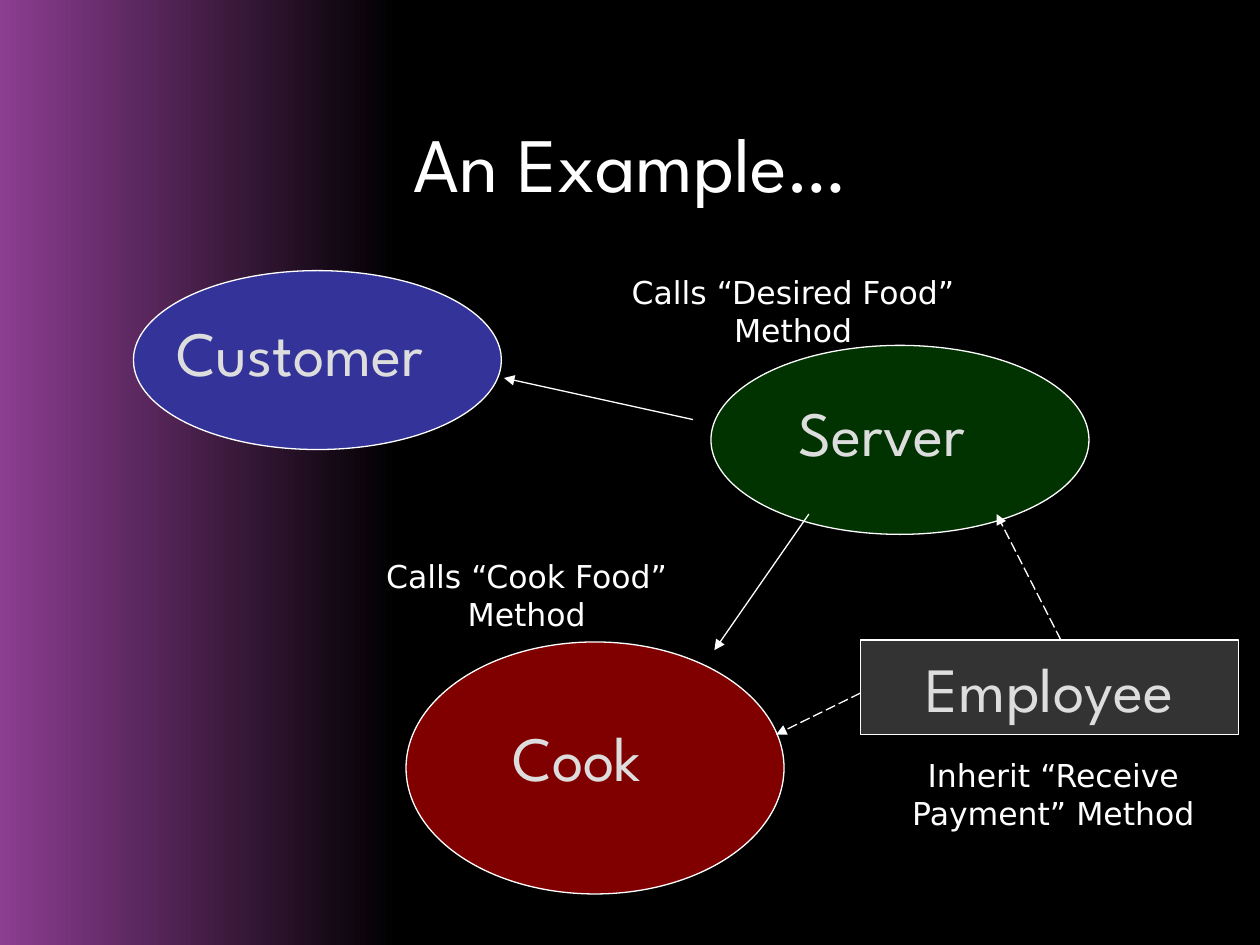
from dataclasses import dataclass

from pptx import Presentation
from pptx import util as u
from pptx.dml.color import RGBColor as Rgb
from pptx.enum import dml, shapes, text
from pptx.oxml import parse_xml
from pptx.oxml.ns import nsdecls


@dataclass(frozen=True)
class Theme:
    back: str = "000000"
    glow: str = "8C3D91"
    ink: str = "FFFFFF"
    label: str = "DDDDDD"
    blue: str = "333399"
    green: str = "003300"
    red: str = "800000"
    gray: str = "333333"
    head: str = "League Spartan"
    body: str = "DejaVu Sans"
    title: int = 44
    name: int = 36
    note: int = 18
    line: float = 0.75


T = Theme()
SHIFT = 1 / 21  # ovals sit this share of their size right of and below the label


def color(code):
    return Rgb.from_string(code)


def inch(*sizes):
    return [u.Inches(size) for size in sizes]


def write(frame, words, size, font, ink, pad=0):
    """Set centred, formatted text in a frame."""
    frame.text = words
    frame.margin_left = frame.margin_right = u.Inches(pad)
    frame.margin_top = frame.margin_bottom = u.Inches(pad)
    for para in frame.paragraphs:
        para.alignment = text.PP_ALIGN.CENTER
        for run in para.runs:
            run.font.size = u.Pt(size)
            run.font.name = font
            run.font.color.rgb = color(ink)


def panel(slide, box):
    """Gradient band behind everything else."""
    band = slide.shapes.add_shape(shapes.MSO_SHAPE.RECTANGLE, *inch(*box))
    band.shadow.inherit = False
    band.line.fill.background()
    band.fill.gradient()
    band.fill.gradient_angle = 180
    for stop, code in zip(band.fill.gradient_stops, (T.back, T.glow)):
        stop.color.rgb = color(code)
    slide.shapes.title._element.addprevious(band._element)


def heading(slide, box, words):
    title = slide.shapes.title
    title.left, title.top, title.width, title.height = inch(*box)
    write(title.text_frame, words, T.title, T.head, T.ink)
    title.text_frame.vertical_anchor = text.MSO_ANCHOR.MIDDLE


def node(slide, box, words, fill, kind=shapes.MSO_SHAPE.OVAL, shift=SHIFT):
    """Filled outline with its name on top."""
    left, top, width, height = box
    body = slide.shapes.add_shape(
        kind, *inch(left + shift * width, top + shift * height, width, height))
    body.shadow.inherit = False
    body.fill.solid()
    body.fill.fore_color.rgb = color(fill)
    body.line.color.rgb = color(T.ink)
    body.line.width = u.Pt(T.line)

    tall = 0.7
    label = slide.shapes.add_textbox(
        *inch(left, top + (height - tall) / 2, width, tall))
    frame = label.text_frame
    write(frame, words, T.name, T.head, T.label, 0.05)
    frame.word_wrap = True
    frame.vertical_anchor = text.MSO_ANCHOR.MIDDLE


def note(slide, box, words):
    frame = slide.shapes.add_textbox(*inch(*box)).text_frame
    write(frame, words, T.note, T.body, T.ink)
    frame.word_wrap = True


def arrow(slide, start, end, dash=False):
    link = slide.shapes.add_connector(
        shapes.MSO_CONNECTOR.STRAIGHT, *inch(*start, *end))
    link.line.color.rgb = color(T.ink)
    link.line.width = u.Pt(T.line)
    if dash:
        link.line.dash_style = dml.MSO_LINE.LONG_DASH
    link.line._get_or_add_ln().append(
        parse_xml(f'<a:tailEnd {nsdecls("a")} type="triangle"/>'))
    link._element.spPr.append(parse_xml(f'<a:effectLst {nsdecls("a")}/>'))


def diagram(slide):
    # Objects
    node(slide, (0.92, 2.08, 2.92, 1.42), "Customer", T.blue)
    node(slide, (5.5, 2.67, 3, 1.5), "Server", T.green)
    node(slide, (3.08, 5, 3, 2), "Cook", T.red)
    node(slide, (6.83, 5.08, 3, 0.75), "Employee", T.gray,
         shapes.MSO_SHAPE.RECTANGLE, 0)

    # Calls
    arrow(slide, (5.5, 3.33), (4, 3))
    arrow(slide, (6.42, 4.08), (5.67, 5.16))
    note(slide, (4.63, 2.17, 3.33, 0.6), "Calls “Desired Food” Method")
    note(slide, (2.67, 4.42, 3.02, 0.6), "Calls “Cook Food” Method")

    # Inheritance
    note(slide, (7, 6, 2.72, 0.6), "Inherit “Receive Payment” Method")
    arrow(slide, (8.42, 5.08), (7.91, 4.08), dash=True)
    arrow(slide, (6.83, 5.5), (6.16, 5.83), dash=True)


def main():
    deck = Presentation()
    deck.slide_width, deck.slide_height = inch(10, 7.5)
    slide = deck.slides.add_slide(deck.slide_layouts[5])
    slide.background.fill.solid()
    slide.background.fill.fore_color.rgb = color(T.back)
    panel(slide, (0, 0, 3.16, 7.5))
    heading(slide, (0.75, 0.66, 8.5, 1.25), "An Example…")
    diagram(slide)
    deck.save("out.pptx")


if __name__ == "__main__":
    main()
